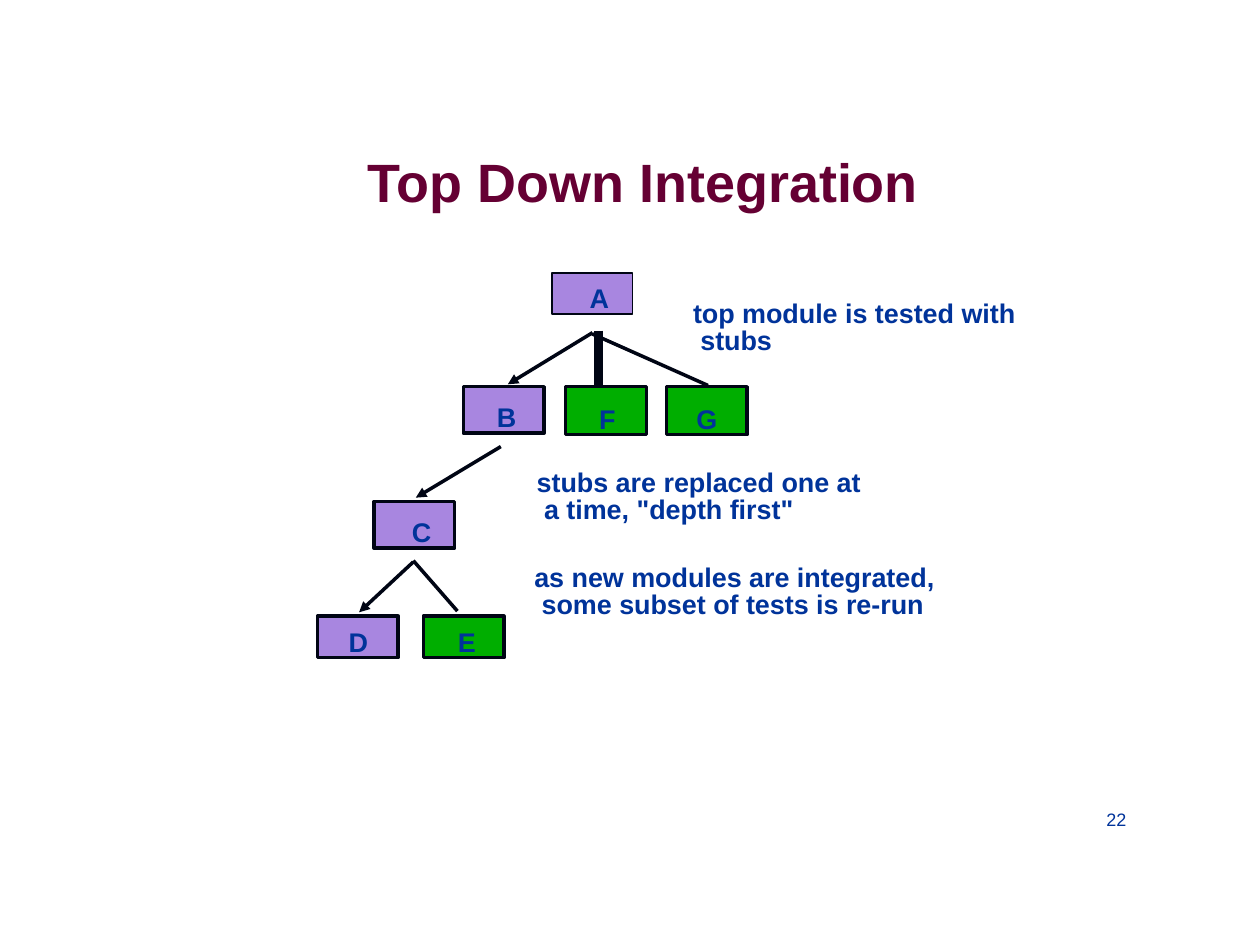
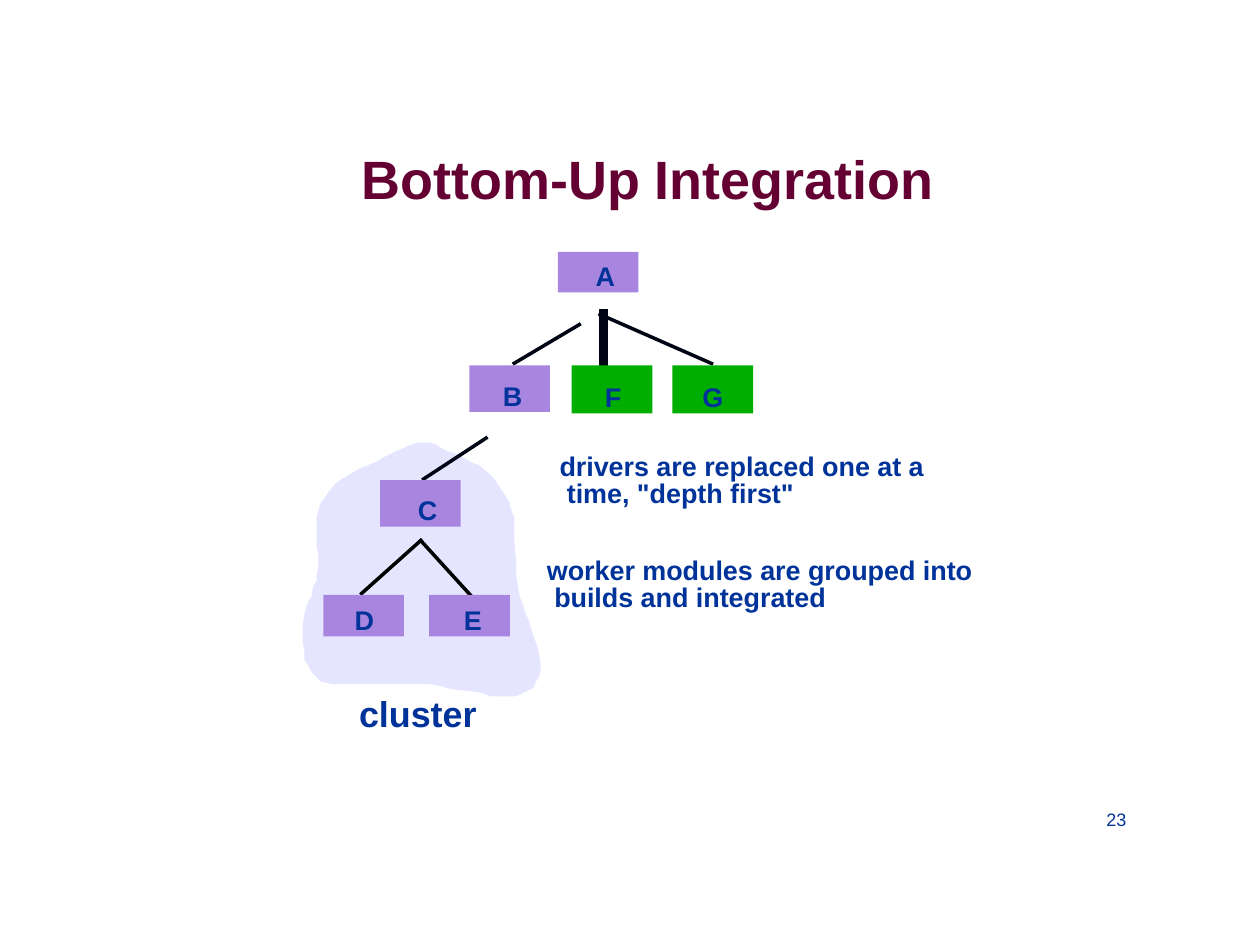
from lxml import etree
from pptx import Presentation
from pptx import util as u
from pptx.dml import color
from pptx.enum import shapes, text
from pptx.oxml import ns

FONT = "Arial"
TITLE, BLUE, INK, BLACK = "650033", "00339A", "000514", "000000"
PURPLE, GREEN, LAVENDER = "A886E0", "00AE00", "E5E5FF"
BOX_WIDTH = 46.1
LABEL_SIZE = 15.4
LEFT, CENTER = text.PP_ALIGN.LEFT, text.PP_ALIGN.CENTER

# name: (left, top, height, space above label, alignment, indent)
MODULES = {
    "A": (315.4, 156.2, 23.2, 4.5, LEFT, 21.6),
    "B": (264.8, 221, 26.6, 7.9, CENTER, 3.2),
    "C": (213.8, 286.6, 26.6, 7.9, LEFT, 21.6),
    "D": (181.4, 352.1, 23.8, 5.3, CENTER, 0.7),
    "E": (241.9, 352.1, 23.8, 5.3, CENTER, 3.6),
    "F": (323.3, 221, 27.4, 8.8, CENTER, 1.4),
    "G": (380.9, 221, 27.4, 8.8, CENTER, 0),
}

CLUSTER_OUTLINE = [
    (308.9, 383), (308.9, 378.7), (308.2, 374.4), (306.7, 369.4), (305.3, 364.3),
    (301.7, 353.5), (300.2, 349.9), (298.8, 345.6), (296.6, 340.6), (295.9, 334.8),
    (295.2, 329), (295.2, 321.8), (294.5, 310.3), (294.5, 301.7), (293.8, 295.9),
    (292.3, 290.9), (290.9, 287.3), (288, 281.5), (285.8, 278.6), (281.5, 272.9),
    (273.6, 265.7), (269.3, 263.5), (263.5, 261.4), (259.9, 259.2), (256.3, 257.8),
    (252, 255.6), (249.1, 254.2), (245.5, 253.4), (239, 253.4), (234.7, 254.2),
    (231.1, 255.6), (226.1, 257.8), (220.3, 261.4), (215.3, 263.5), (210.2, 266.4),
    (205.2, 267.8), (200.2, 270.7), (195.1, 273.6), (190.8, 277.2), (187.9, 280.8),
    (185.8, 284.4), (182.9, 288), (182.2, 291.6), (180.7, 295.2), (180.7, 309.6),
    (181.4, 313.2), (182.2, 316.8), (182.2, 324), (181.4, 327.6), (180.7, 331.9),
    (179.3, 334.8), (177.8, 340.6), (176.4, 344.2), (174.2, 350.6), (172.8, 357.1),
    (172.8, 367.2), (173.5, 372.2), (174.2, 376.6), (176.4, 380.2), (177.8, 383.8),
    (179.3, 385.2), (182.2, 388.1), (184.3, 389.5), (186.5, 390.2), (190.1, 391),
    (245.5, 391), (252, 391.7), (254.9, 393.1), (259.2, 393.8), (268.6, 395.3),
    (275, 396), (280.8, 398.2), (293.8, 398.2), (297.4, 397.4), (301, 395.3),
    (304.6, 393.1), (306, 390.2), (308.2, 387.4),
]


def rgb(value):
    return color.RGBColor.from_string(value)


def write(shape, words, size, ink=BLUE, bold=True, inset=0, before=0,
          align=LEFT, margin=0.7, hanging=0, spacing=None):
    frame = shape.text_frame
    frame.word_wrap = True
    frame.vertical_anchor = text.MSO_ANCHOR.TOP
    frame.margin_left = frame.margin_right = frame.margin_bottom = 0
    frame.margin_top = u.Pt(inset)
    paragraph = frame.paragraphs[0]
    paragraph.alignment = align
    paragraph.space_before = u.Pt(before)
    if spacing:
        paragraph.line_spacing = u.Pt(spacing)
    properties = paragraph._p.get_or_add_pPr()
    properties.set("marL", str(u.Pt(margin + hanging)))
    properties.set("indent", str(-u.Pt(hanging)))
    run = paragraph.add_run()
    run.text = words
    run.font.name = FONT
    run.font.size = u.Pt(size)
    run.font.bold = bold
    run.font.color.rgb = rgb(ink)


def add_text(slide, left, top, width, height, words, size, **style):
    box = slide.shapes.add_textbox(u.Pt(left), u.Pt(top), u.Pt(width), u.Pt(height))
    write(box, words, size, **style)


def add_title(slide, left, top, width, words):
    add_text(slide, left, top, width, 38.2, words, 30.8, ink=TITLE, inset=0.9, before=0.9)


def add_caption(slide, left, top, width, words):
    add_text(slide, left, top, width, 34.6, words, LABEL_SIZE,
             inset=3.9, before=3.9, hanging=4.2, spacing=LABEL_SIZE)


def add_page_number(slide, number):
    add_text(slide, 629.3, 462.2, 16.6, 12.2, str(number), 10.3,
             bold=False, margin=2.9, spacing=12.2)


def add_line(slide, start, end, ink=INK, width=2, arrow=False):
    points = [u.Pt(value) for value in (*start, *end)]
    connector = slide.shapes.add_connector(shapes.MSO_CONNECTOR.STRAIGHT, *points)
    connector.line.color.rgb = rgb(ink)
    connector.line.width = u.Pt(width)
    if arrow:
        etree.SubElement(connector.line._get_or_add_ln(), ns.qn("a:tailEnd"), type="triangle")
    etree.SubElement(connector._element.spPr, ns.qn("a:effectLst"))


def add_modules(slide, stubs, shift=(0, 0), outlined=False):
    for name, (left, top, height, space, align, margin) in MODULES.items():
        box = slide.shapes.add_shape(
            shapes.MSO_SHAPE.RECTANGLE, u.Pt(left + shift[0]), u.Pt(top + shift[1]),
            u.Pt(BOX_WIDTH), u.Pt(height))
        box.shadow.inherit = False
        box.fill.solid()
        box.fill.fore_color.rgb = rgb(GREEN if name in stubs else PURPLE)
        if outlined:
            box.line.color.rgb = rgb(INK)
            box.line.width = u.Pt(1 if name == "A" else 2)
        else:
            box.line.fill.background()
        write(box, name, LABEL_SIZE, inset=space, before=space, align=align, margin=margin)


def add_cluster(slide):
    first, *rest = CLUSTER_OUTLINE
    builder = slide.shapes.build_freeform(*first, scale=u.Pt(1))
    builder.add_line_segments(rest, close=True)
    cluster = builder.convert_to_shape()
    cluster.shadow.inherit = False
    cluster.fill.solid()
    cluster.fill.fore_color.rgb = rgb(LAVENDER)
    cluster.line.fill.background()


def build_top_down(slide):
    add_title(slide, 209.5, 84.2, 318.2, "Top Down Integration")
    add_line(slide, (236.2, 320.4), (261.4, 349.2))
    add_line(slide, (342, 189), (342, 221.8), width=5)
    add_line(slide, (338.4, 190.8), (404.6, 220.3))
    add_caption(slide, 395.3, 168.5, 186.5, "top module is tested with stubs")
    add_caption(slide, 306, 265, 187.2, 'stubs are replaced one at a time, "depth first"')
    add_caption(slide, 304.6, 319.7, 231.1,
                "as new modules are integrated, some subset of tests is re-run")
    add_modules(slide, stubs="EFG", outlined=True)
    for start, end in [((338.6, 190.1), (290.2, 219.6)),
                       ((286.2, 255.2), (237.6, 284.4)),
                       ((236.2, 321.1), (205.2, 349.9))]:
        add_line(slide, start, end, arrow=True)
    add_page_number(slide, 22)


def build_bottom_up(slide):
    add_title(slide, 205.9, 82.1, 328.3, "Bottom-Up Integration")
    add_cluster(slide)
    add_line(slide, (331.9, 185), (293, 208.1))
    add_line(slide, (278.6, 249.8), (241.2, 274.3))
    add_line(slide, (241.2, 308.2), (205.9, 339.8), ink=BLACK)
    add_line(slide, (239.8, 308.2), (269.3, 340.6), ink=BLACK)
    add_line(slide, (344.9, 176.4), (344.9, 210.2), width=5)
    add_line(slide, (342, 179.3), (407.5, 208.1))
    add_caption(slide, 319, 256.3, 210.2, 'drivers are replaced one at a time, "depth first"')
    add_caption(slide, 311.8, 315.4, 245.5,
                "worker modules are grouped into builds and integrated")
    add_modules(slide, stubs="FG", shift=(3.4, -12.2))
    add_text(slide, 204.5, 394.6, 69.1, 25.9, "cluster", 20.5, inset=0.9, before=0.9)
    add_page_number(slide, 23)


def main():
    presentation = Presentation()
    presentation.slide_width = u.Pt(720)
    presentation.slide_height = u.Pt(540)
    for build in (build_top_down, build_bottom_up):
        build(presentation.slides.add_slide(presentation.slide_layouts[6]))
    presentation.save("out.pptx")


if __name__ == "__main__":
    main()
